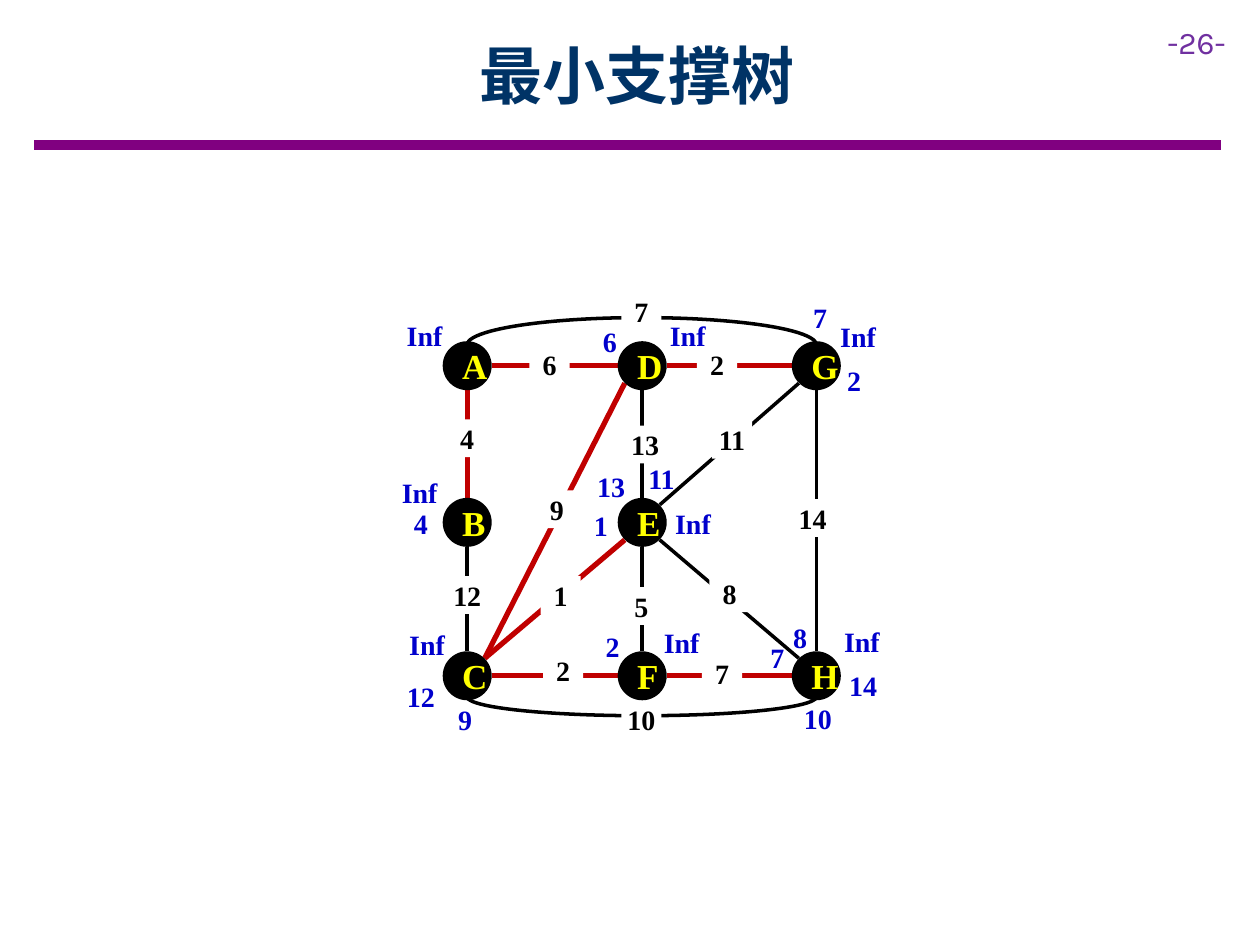
"""Build a slide that shows Prim's minimum spanning tree on an eight-node graph."""
import pptx
import pptx.dml.color
import pptx.enum.shapes
import pptx.enum.text
import pptx.oxml.ns
import pptx.util
from lxml import etree

Pt = pptx.util.Pt
Shape = pptx.enum.shapes.MSO_SHAPE
Align = pptx.enum.text.PP_ALIGN
COLOURS = {
    "rule": "800080", "number": "7030A0", "title": "003366", "edge": "000000",
    "tree": "C00000", "node": "000000", "letter": "FFFF00", "cost": "0000CC",
    "weight": "000000", "paper": "FFFFFF",
}
RADIUS = 14
DIAGONAL = 10
LABEL_WIDTH, LABEL_HEIGHT = 23, 21.6
LEFT, MIDDLE, RIGHT = 267, 367, 466.5
TOP, CENTRE, BOTTOM = 209, 298.5, 386.2
NODES = {
    "A": (LEFT, TOP), "B": (LEFT, CENTRE), "C": (LEFT, BOTTOM),
    "D": (MIDDLE, TOP), "E": (MIDDLE, CENTRE), "F": (MIDDLE, BOTTOM),
    "G": (RIGHT, TOP), "H": (RIGHT, BOTTOM),
}
EDGES = ["BC", "DE", "EF", "HE", "GE", "GH"]
TREE_EDGES = ["AB", "AD", "DG", "DC", "EC", "CF", "FH"]
WEIGHTS = [
    ("4", 267, 250.5), ("12", 267, 340), ("6", 314, 208), ("2", 409.7, 208),
    ("13", 368.6, 254), ("11", 418.3, 251.3), ("14", 464.4, 296),
    ("8", 416.9, 339), ("5", 366.5, 346.3), ("9", 318.2, 291),
    ("1", 320.4, 340), ("2", 321.8, 383), ("7", 412.6, 384.5),
    ("7", 366.5, 178), ("10", 366.5, 411),
]
COSTS = [
    ("Inf", 393, 191.5), ("Inf", 490.3, 192.2), ("Inf", 239.8, 281.5),
    ("Inf", 396, 298.8), ("Inf", 389.5, 367.2), ("Inf", 492.5, 366.5),
    ("Inf", 244, 368), ("Inf", 242.6, 191.5), ("6", 348.5, 195),
    ("7", 468.7, 181.4), ("4", 240.5, 298.8), ("12", 240.5, 398),
    ("2", 488, 217.4), ("13", 349.2, 278), ("9", 265.7, 411),
    ("14", 493.2, 391.7), ("11", 378, 273.6), ("1", 343.4, 300.2),
    ("2", 350, 369.4), ("10", 467.3, 410.4), ("8", 457.2, 364.3),
    ("7", 444.2, 375.8),
]


class GraphPage:
    """Hold the drawing style and the slide being drawn."""

    font = "Times New Roman"
    title_font = "Noto Sans CJK SC"
    number_font = "Karla"

    def __init__(self, page):
        self.page = page

    def colour(self, name):
        return pptx.dml.color.RGBColor.from_string(COLOURS[name])

    def set_text(self, box, text, size, colour, font, bold=True, align=Align.CENTER):
        frame = box.text_frame
        frame.word_wrap = True
        para = frame.paragraphs[0]
        para.text = text
        para.alignment = align
        para.font.size = Pt(size)
        para.font.bold = bold
        para.font.name = font
        para.font.color.rgb = self.colour(colour)
        return para

    def title(self, text):
        box = self.page.shapes.title
        box.left, box.top, box.width, box.height = Pt(64.8), Pt(6.5), Pt(598.3), Pt(72)
        box.text_frame.vertical_anchor = pptx.enum.text.MSO_ANCHOR.MIDDLE
        para = self.set_text(box, text, 36, "title", self.title_font)
        properties = para._p.get_or_add_pPr().get_or_add_defRPr()
        east_asian = etree.SubElement(properties, pptx.oxml.ns.qn("a:ea"))
        east_asian.set("typeface", self.title_font)

    def page_number(self, text):
        box = self.page.shapes.add_textbox(Pt(660), Pt(9.4), Pt(60), Pt(29))
        self.set_text(box, text, 18, "number", self.number_font, False, Align.LEFT)

    def line(self, start, end, colour, width):
        line = self.page.shapes.add_connector(
            pptx.enum.shapes.MSO_CONNECTOR.STRAIGHT, *map(Pt, start + end))
        line.line.color.rgb = self.colour(colour)
        line.line.width = Pt(width)
        etree.SubElement(line._element.spPr, pptx.oxml.ns.qn("a:effectLst"))

    def edge(self, start, end, colour, width):
        steps = [(b > a) - (b < a) for a, b in zip(start, end)]
        reach = DIAGONAL if all(steps) else RADIUS
        self.line(tuple(a + reach * step for a, step in zip(start, steps)),
                  tuple(b - reach * step for b, step in zip(end, steps)),
                  colour, width)

    def arc(self, top, height, start, end):
        arc = self.page.shapes.add_shape(
            Shape.ARC, Pt(LEFT), Pt(top), Pt(RIGHT - LEFT), Pt(height))
        arc.adjustments[0], arc.adjustments[1] = start, end
        arc.shadow.inherit = False
        arc.fill.background()
        arc.line.color.rgb = self.colour("edge")
        arc.line.width = Pt(2)

    def node(self, name, x, y):
        node = self.page.shapes.add_shape(
            Shape.OVAL, Pt(x - RADIUS), Pt(y - RADIUS), Pt(2 * RADIUS), Pt(2 * RADIUS))
        self.finish(node, "node", 7.2)
        self.set_text(node, name, 20, "letter", self.font)

    def finish(self, shape, fill, side_inset):
        shape.shadow.inherit = False
        shape.fill.solid()
        shape.fill.fore_color.rgb = self.colour(fill)
        shape.line.fill.background()
        self.inset(shape, side_inset)

    def inset(self, box, side):
        frame = box.text_frame
        frame.margin_left = frame.margin_right = Pt(side)
        frame.margin_top = frame.margin_bottom = Pt(7.2)
        frame.vertical_anchor = pptx.enum.text.MSO_ANCHOR.MIDDLE

    def label_bounds(self, x, y):
        return map(Pt, (x - LABEL_WIDTH / 2, y - LABEL_HEIGHT / 2,
                        LABEL_WIDTH, LABEL_HEIGHT))

    def weight(self, text, x, y):
        box = self.page.shapes.add_shape(Shape.RECTANGLE, *self.label_bounds(x, y))
        self.finish(box, "paper", 0)
        self.set_text(box, text, 16, "weight", self.font)

    def cost(self, text, x, y):
        box = self.page.shapes.add_textbox(*self.label_bounds(x, y))
        self.inset(box, 0)
        self.set_text(box, text, 16, "cost", self.font)


def main():
    deck = pptx.Presentation()
    deck.slide_width, deck.slide_height = Pt(720), Pt(540)
    graph = GraphPage(deck.slides.add_slide(deck.slide_layouts[5]))
    graph.line((19.5, 82.8), (697.7, 82.8), "rule", 6)
    graph.page_number("-26-")
    graph.title("最小支撑树")
    for names, colour, width in ((EDGES, "edge", 2), (TREE_EDGES, "tree", 3)):
        for start, end in names:
            graph.edge(NODES[start], NODES[end], colour, width)
    graph.arc(181.5, 31, 108, 0)
    graph.arc(387.4, 21.6, 0, 108)
    for weight in WEIGHTS:
        graph.weight(*weight)
    for name, (x, y) in NODES.items():
        graph.node(name, x, y)
    for cost in COSTS:
        graph.cost(*cost)
    deck.save("out.pptx")


if __name__ == "__main__":
    main()
